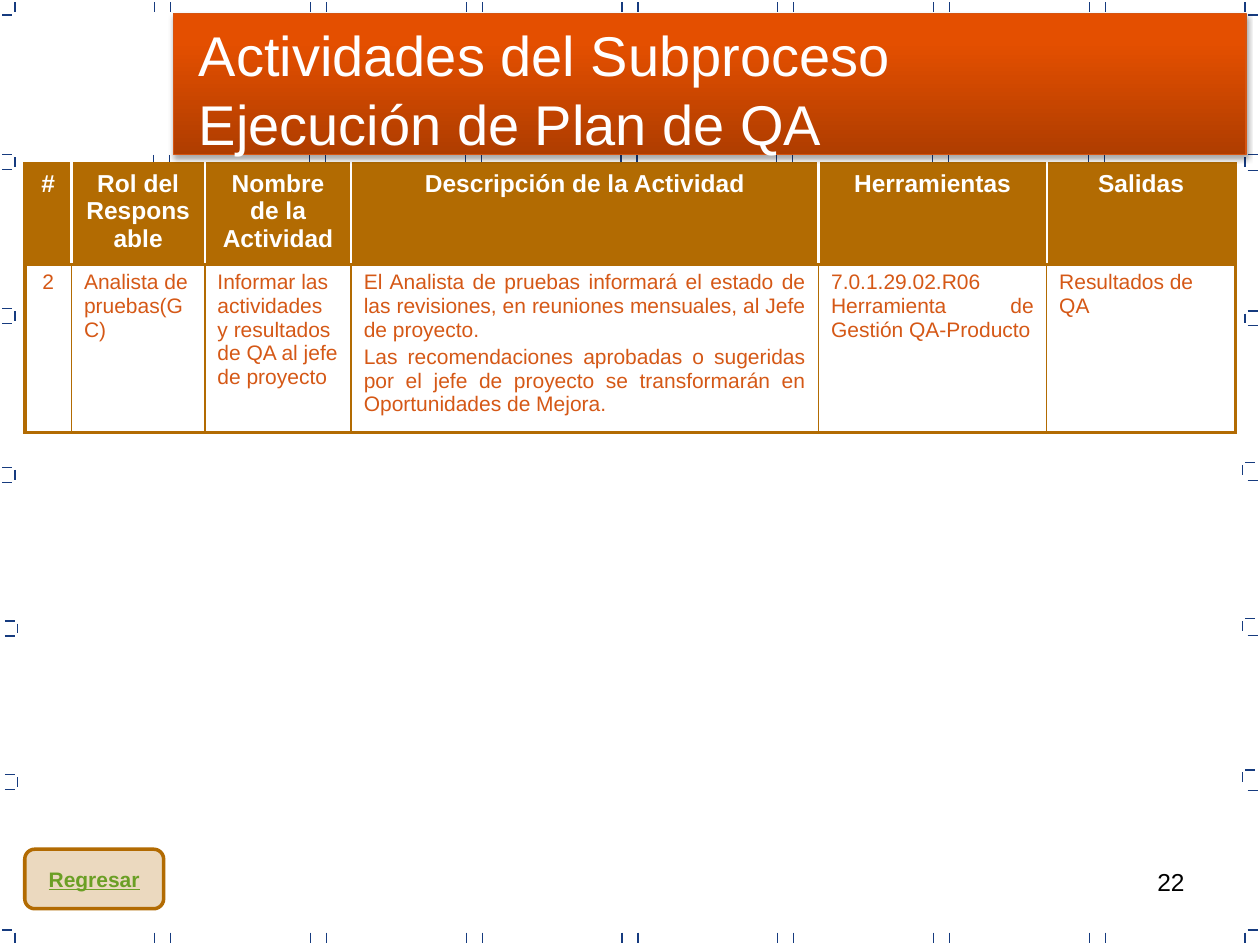
from typing import NamedTuple

from lxml import etree
from pptx import Presentation
from pptx import util as u
from pptx.dml.color import RGBColor
from pptx.enum import shapes, text
from pptx.oxml.ns import qn

COLOURS = {
    "tick": "163B7F",
    "brown": "B26B02",
    "orange": "D55816",
    "white": "FFFFFF",
    "black": "000000",
    "green": "6B9F25",
    "banner_dark": "AF3D00",
    "banner_light": "E44F00",
    "banner_end": "E54F00",
    "banner_line": "D55511",
}
TICK = 0.2
GAP = 0.05
PITCH = 3.14
LEFT, CENTER, RIGHT, JUSTIFY = (
    text.PP_ALIGN.LEFT, text.PP_ALIGN.CENTER, text.PP_ALIGN.RIGHT, text.PP_ALIGN.JUSTIFY)


class Style(NamedTuple):
    size: float
    colour: str
    align: text.PP_ALIGN = LEFT
    bold: bool = False
    underline: bool = False
    before: float = 0


class Activity(NamedTuple):
    heading: str
    detail: str
    width: float
    align: text.PP_ALIGN


class Notch(NamedTuple):
    edge: float
    upper: float
    lower: float
    shift: float = 0


ACTIVITIES = [
    Activity("#", "2", 0.94, CENTER),
    Activity("Rol del Responsable", "Analista de pruebas(GC)", 2.69, LEFT),
    Activity("Nombre de la Actividad",
             "Informar las actividades y resultados de QA al jefe de proyecto", 2.95, LEFT),
    Activity("Descripción de la Actividad",
             "El Analista de pruebas informará el estado de las revisiones, en reuniones "
             "mensuales, al Jefe de proyecto.\n"
             "Las recomendaciones aprobadas o sugeridas por el jefe de proyecto se "
             "transformarán en Oportunidades de Mejora.", 9.42, JUSTIFY),
    Activity("Herramientas", "7.0.1.29.02.R06 Herramienta de Gestión QA-Producto", 4.6, JUSTIFY),
    Activity("Salidas", "Resultados de QA", 3.81, LEFT),
]
LEFT_NOTCHES = [Notch(0.3, y, y + 0.3, shift) for y, shift in
                [(3.12, 0), (6.22, 0), (9.42, 0), (12.52, 0.05), (15.62, 0.05)]]
RIGHT_NOTCHES = [Notch(25.1, y, 3.43 + 3.125 * i, shift) for i, (y, shift) in
                 enumerate([(3.12, 0), (6.27, 0), (9.32, -0.05), (12.47, -0.05), (15.52, -0.05)])]


def rgb(name: str) -> RGBColor:
    return RGBColor.from_string(COLOURS[name])


def write(frame, words: str, style: Style) -> None:
    frame.text = words
    frame.word_wrap = True
    for paragraph in frame.paragraphs:
        paragraph.alignment = style.align
        paragraph.space_before = u.Pt(style.before)
        for run in paragraph.runs:
            run.font.name = "Arial"
            run.font.size = u.Pt(style.size)
            run.font.bold = style.bold
            run.font.underline = style.underline
            run.font.color.rgb = rgb(style.colour)


def add_text(slide, x: float, y: float, width: float, height: float, words: str,
             style: Style) -> None:
    box = slide.shapes.add_textbox(u.Cm(x), u.Cm(y), u.Cm(width), u.Cm(height))
    write(box.text_frame, words, style)


def add_tick(slide, x: float, y: float, dx: float = 0, dy: float = 0) -> None:
    tick = slide.shapes.add_connector(
        shapes.MSO_CONNECTOR.STRAIGHT, u.Cm(x), u.Cm(y), u.Cm(x + dx), u.Cm(y + dy))
    tick.line.color.rgb = rgb("tick")
    tick.line.width = u.Pt(0.75)
    etree.SubElement(tick._element.spPr, qn("a:effectLst"))


def add_ticks(slide) -> None:
    for column in range(7):
        for first, y in [(3.12, 0.05), (3.1, 3.12), (3.12, 18.8)]:
            for offset in (0, 0.32):
                add_tick(slide, first + PITCH * column + offset, y, dy=TICK)
    for edge, outer in [(0.3, 0.05), (25.1, 25.15)]:
        for vertical, horizontal in [(0.05, 0.3), (18.8, 18.75)]:
            add_tick(slide, edge, vertical, dy=TICK)
            add_tick(slide, outer, horizontal, dx=TICK)
    for notch in LEFT_NOTCHES + RIGHT_NOTCHES:
        on_left = notch.edge < 1
        outer = notch.edge + (-GAP - TICK if on_left else GAP)
        add_tick(slide, notch.edge + notch.shift, notch.upper + GAP, dy=TICK)
        add_tick(slide, outer + notch.shift, notch.upper, dx=TICK)
        add_tick(slide, outer + (notch.shift if on_left else 0), notch.lower, dx=TICK)


def set_borders(cell, borders: list[tuple[str, str, float]]) -> None:
    properties = cell._tc.get_or_add_tcPr()
    for position, (side, colour, points) in enumerate(borders):
        border = etree.Element(qn(f"a:ln{side}"), w=str(u.Pt(points)))
        fill = etree.SubElement(border, qn("a:solidFill"))
        etree.SubElement(fill, qn("a:srgbClr"), val=COLOURS[colour])
        properties.insert(position, border)


def add_activities(slide) -> None:
    row_heights = [1.94, 3.18]
    width = sum(activity.width for activity in ACTIVITIES)
    table = slide.shapes.add_table(
        2, len(ACTIVITIES), u.Cm(0.5), u.Cm(3.3), u.Cm(width), u.Cm(sum(row_heights))).table
    for row, height in zip(table.rows, row_heights):
        row.height = u.Cm(height)
    last = len(ACTIVITIES) - 1
    for index, activity in enumerate(ACTIVITIES):
        table.columns[index].width = u.Cm(activity.width)
        heading, detail = table.cell(0, index), table.cell(1, index)
        heading.fill.solid()
        heading.fill.fore_color.rgb = rgb("brown")
        detail.fill.background()
        write(heading.text_frame, activity.heading, Style(14, "white", CENTER, bold=True, before=2.8))
        write(detail.text_frame, activity.detail, Style(12, "orange", activity.align, before=2.4))
        for cell, inner, top, bottom in [(heading, ("white", 1.5), 2.25, 1.5),
                                         (detail, ("brown", 1), 1.5, 2.25)]:
            outer = ("brown", 2.25)
            set_borders(cell, [
                ("L", *(outer if index == 0 else inner)),
                ("R", *(outer if index == last else inner)),
                ("T", "brown", top),
                ("B", "brown", bottom),
            ])


def add_return_button(slide) -> None:
    button = slide.shapes.add_shape(
        shapes.MSO_SHAPE.FLOWCHART_ALTERNATE_PROCESS,
        u.Cm(0.5), u.Cm(17.12), u.Cm(2.8), u.Cm(1.2))
    button.shadow.inherit = False
    button.fill.solid()
    button.fill.fore_color.rgb = rgb("brown")
    colour = button._element.spPr.find(f"{qn('a:solidFill')}/{qn('a:srgbClr')}")
    etree.SubElement(colour, qn("a:alpha"), val="25000")
    button.line.color.rgb = rgb("brown")
    button.line.width = u.Pt(2)
    write(button.text_frame, "Regresar", Style(12, "green", CENTER, bold=True, underline=True))
    button.text_frame.word_wrap = False
    button.text_frame.vertical_anchor = text.MSO_ANCHOR.MIDDLE


def add_banner(slide) -> None:
    banner = slide.shapes.add_shape(
        shapes.MSO_SHAPE.RECTANGLE, u.Cm(3.5), u.Cm(0.28), u.Cm(21.62), u.Cm(2.84))
    banner.line.color.rgb = rgb("banner_line")
    banner.line.width = u.Pt(0.75)
    banner.fill.gradient()
    banner.fill.gradient_angle = 90
    stops = banner._element.spPr.find(f"{qn('a:gradFill')}/{qn('a:gsLst')}")
    for stop in list(stops):
        stops.remove(stop)
    for percent, name in [(0, "banner_dark"), (80, "banner_light"), (100, "banner_end")]:
        stop = etree.SubElement(stops, qn("a:gs"), pos=str(percent * 1000))
        etree.SubElement(stop, qn("a:srgbClr"), val=COLOURS[name])
    banner.shadow.inherit = False
    effects = banner._element.spPr.find(qn("a:effectLst"))
    shadow = etree.SubElement(effects, qn("a:outerShdw"), blurRad=str(u.Pt(3.1)),
                              dist=str(u.Pt(1.8)), dir="5400000", rotWithShape="0")
    shade = etree.SubElement(shadow, qn("a:srgbClr"), val=COLOURS["black"])
    etree.SubElement(shade, qn("a:alpha"), val="35000")
    add_text(slide, 3.76, 0.28, 21.13, 2.84,
             "Actividades del Subproceso\nEjecución de Plan de QA", Style(32, "white", before=1.5))


def main() -> None:
    deck = Presentation()
    deck.slide_width, deck.slide_height = u.Cm(25.4), u.Cm(19.05)
    slide = deck.slides.add_slide(deck.slide_layouts[6])
    add_text(slide, 18.21, 17.35, 5.92, 1.32, "22", Style(14, "black", RIGHT))
    add_ticks(slide)
    add_activities(slide)
    add_return_button(slide)
    add_banner(slide)
    deck.save("out.pptx")


if __name__ == "__main__":
    main()
